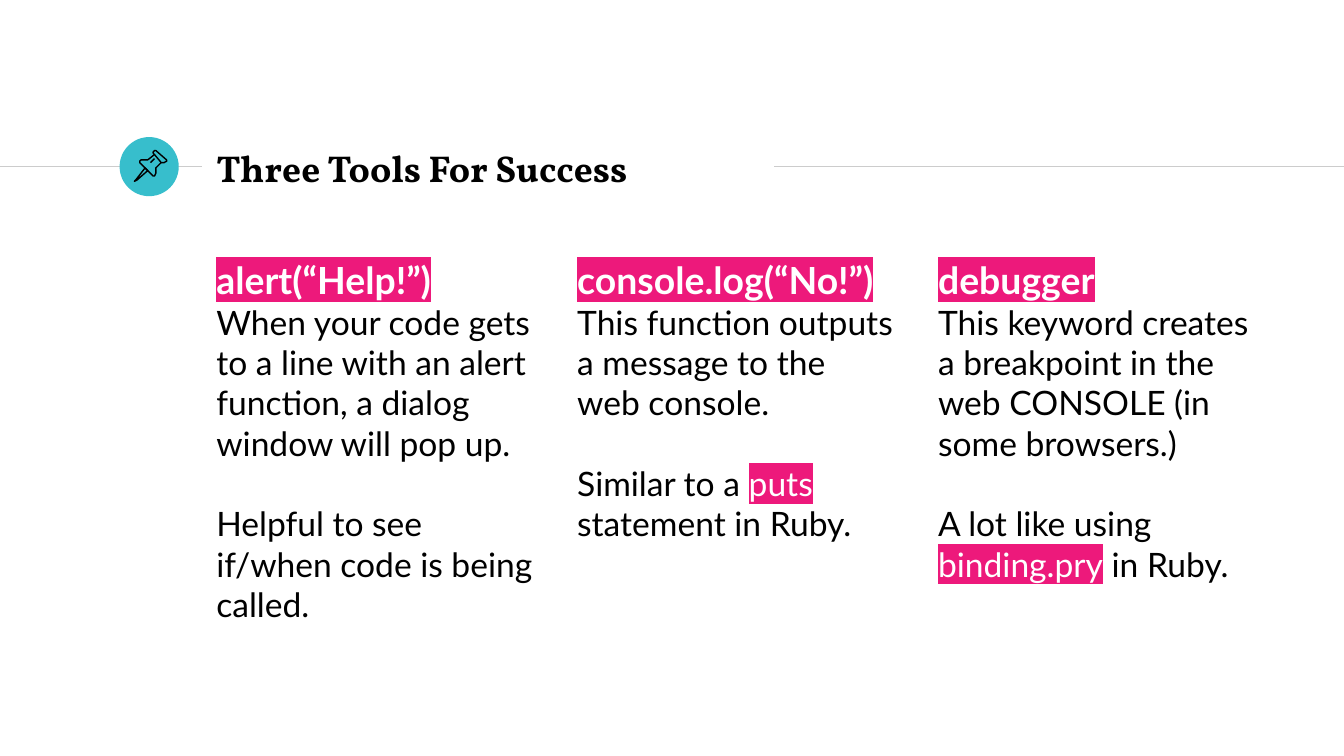
from lxml.etree import SubElement
from pptx import Presentation
from pptx.dml.color import RGBColor
from pptx.enum.shapes import MSO_CONNECTOR, MSO_SHAPE
from pptx.enum.text import MSO_ANCHOR, MSO_AUTO_SIZE, PP_ALIGN
from pptx.oxml import parse_xml
from pptx.oxml.ns import nsdecls, qn
from pptx.util import Inches, Pt

BLACK, WHITE, PINK, TEAL, GREY = "000000", "FFFFFF", "ED197B", "37BECC", "CCCCCC"

# Each column: heading, then paragraphs of (text, is_code) spans
COLUMNS = [
    ("alert(“Help!”)", [
        [("When your code gets to a line with an alert function, "
          "a dialog window will pop up.", False)],
        [("Helpful to see if/when code is being called.", False)],
    ]),
    ("console.log(“No!”)", [
        [("This function outputs a message to the web console.", False)],
        [("Similar to a ", False), ("puts", True), (" statement in Ruby.", False)],
    ]),
    ("debugger", [
        [("This keyword creates a breakpoint in the web CONSOLE "
          "(in some browsers.)", False)],
        [("A lot like using ", False), ("binding.pry", True), (" in Ruby.", False)],
    ]),
]

# Pin outlines in inches from the badge corner, with whether each is closed
PIN = [
    ([(.19, .23), (.12, .32), (.11, .33), (.13, .32), (.21, .25)], True),
    ([(.26, .13), (.31, .19), (.33, .19), (.35, .18), (.35, .17),
      (.27, .10), (.26, .10), (.25, .11), (.25, .12)], True),
    ([(.26, .13), (.21, .17), (.19, .17), (.16, .17), (.15, .18), (.15, .19),
      (.25, .29), (.26, .29), (.27, .27), (.27, .23), (.31, .19)], False),
    ([(.23, .19), (.26, .16)], False),
]


def color(value):
    return RGBColor.from_string(value)


def place(shape, left, top, width, height):
    shape.left, shape.top = Inches(left), Inches(top)
    shape.width, shape.height = Inches(width), Inches(height)


def prepare_frame(shape, anchor):
    frame = shape.text_frame
    frame.word_wrap = True
    frame.auto_size = MSO_AUTO_SIZE.NONE
    frame.vertical_anchor = anchor
    frame.margin_left = frame.margin_right = Inches(0.1)
    frame.margin_top = frame.margin_bottom = Inches(0.1)
    return frame


def style_paragraph(para, font_name, size, bold, space_before=0):
    """Make a left-aligned paragraph without bullet or indent."""
    properties = para._p.get_or_add_pPr()
    properties.set("marL", "0")
    properties.set("indent", "0")
    SubElement(properties, qn("a:buNone"))
    para.alignment = PP_ALIGN.LEFT
    para.space_before = Pt(space_before)
    para.font.name = font_name
    para.font.size = Pt(size)
    para.font.bold = bold


def add_span(para, text, is_code=False):
    """Add a run; code is white on a pink highlight."""
    span = para.add_run()
    span.text = text
    span.font.color.rgb = color(WHITE if is_code else BLACK)
    if is_code:
        fill = span.font._element.find(qn("a:solidFill"))
        fill.addnext(parse_xml(
            f'<a:highlight {nsdecls("a")}><a:srgbClr val="{PINK}"/></a:highlight>'))


def add_rule(page, left, right, y):
    rule = page.shapes.add_connector(
        MSO_CONNECTOR.STRAIGHT, Inches(left), Inches(y), Inches(right), Inches(y))
    rule.line.color.rgb = color(GREY)
    rule.line.width = Pt(0.75)
    SubElement(rule._element.spPr, qn("a:effectLst"))


def add_badge(page, left, top, size):
    """Draw the round badge with its pin icon."""
    circle = page.shapes.add_shape(
        MSO_SHAPE.OVAL, Inches(left), Inches(top), Inches(size), Inches(size))
    circle.shadow.inherit = False
    circle.fill.solid()
    circle.fill.fore_color.rgb = color(TEAL)
    circle.line.fill.background()
    icon = page.shapes.add_group_shape()
    for points, closed in PIN:
        corners = [(Inches(left + x), Inches(top + y)) for x, y in points]
        builder = icon.shapes.build_freeform(*corners[0])
        builder.add_line_segments(corners[1:], close=closed)
        outline = builder.convert_to_shape()
        outline.shadow.inherit = False
        outline.fill.background()
        outline.line.color.rgb = color(BLACK)
        outline.line.width = Pt(0.75)


def fill_title(title, left, top, width, height):
    place(title, left, top, width, height)
    para = prepare_frame(title, MSO_ANCHOR.MIDDLE).paragraphs[0]
    style_paragraph(para, "Vollkorn", 20, True)
    add_span(para, "Three Tools For Success")


def fill_column(body, heading, paragraphs, left, top, width, height):
    place(body, left, top, width, height)
    frame = prepare_frame(body, MSO_ANCHOR.TOP)
    para = frame.paragraphs[0]
    style_paragraph(para, "Lato", 20, True)
    add_span(para, heading, is_code=True)
    for index, spans in enumerate(paragraphs):
        para = frame.add_paragraph()
        style_paragraph(para, "Lato", 18, False, space_before=21.6 * index)
        for text, is_code in spans:
            add_span(para, text, is_code)


def fill_columns(bodies, left, top, width, height):
    """Spread the columns evenly over the given box."""
    column_width = 2.56
    step = (width - column_width) / (len(COLUMNS) - 1)
    for index, (body, (heading, paragraphs)) in enumerate(zip(bodies, COLUMNS)):
        fill_column(body, heading, paragraphs,
                    left + step * index, top, column_width, height)


def main():
    deck = Presentation()
    deck.slide_width = Inches(10)
    deck.slide_height = deck.slide_width * 9 // 16
    page = deck.slides.add_slide(deck.slide_layouts.get_by_name("Comparison"))
    title, *bodies = page.placeholders
    for spare in bodies[len(COLUMNS):]:
        spare._element.getparent().remove(spare._element)

    add_rule(page, 0, 1.5, 1.24)
    add_rule(page, 5.76, 10, 1.24)
    add_badge(page, 0.89, 1.02, 0.44)
    fill_title(title, 1.51, 1.01, 4.24, 0.48)
    fill_columns(bodies, 1.51, 1.81, 7.93, 3.41)
    deck.save("out.pptx")


if __name__ == "__main__":
    main()
